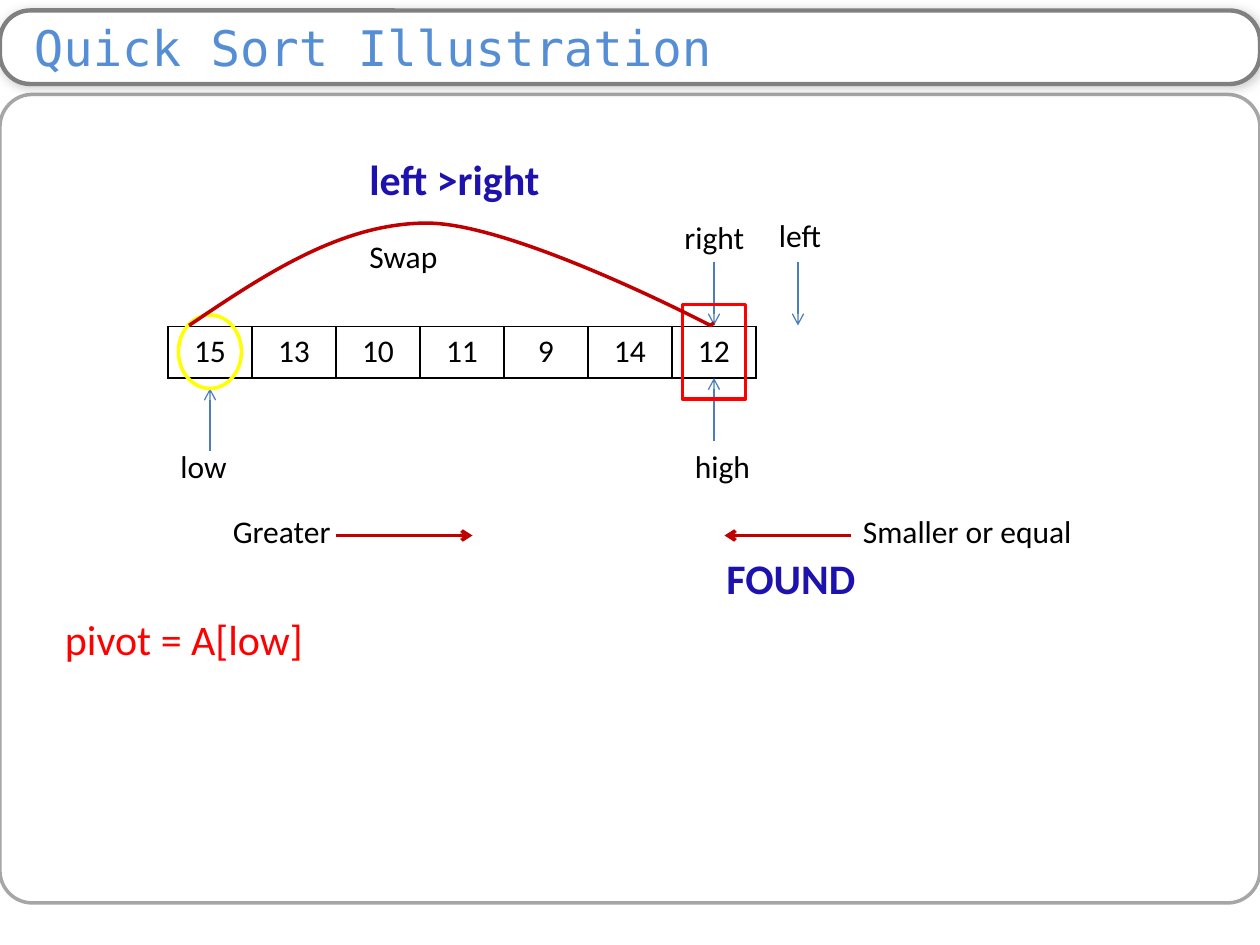
from pptx import Presentation
from pptx.dml.color import RGBColor
from pptx.enum.shapes import MSO_CONNECTOR, MSO_SHAPE
from pptx.enum.text import MSO_ANCHOR, MSO_AUTO_SIZE, PP_ALIGN
from pptx.oxml import parse_xml
from pptx.oxml.ns import nsdecls, qn
from pptx.util import Pt

ROUNDED, RECTANGLE, OVAL = MSO_SHAPE.ROUNDED_RECTANGLE, MSO_SHAPE.RECTANGLE, MSO_SHAPE.OVAL
STRAIGHT = MSO_CONNECTOR.STRAIGHT
MIDDLE, LEFT, CENTER = MSO_ANCHOR.MIDDLE, PP_ALIGN.LEFT, PP_ALIGN.CENTER
FIT_TEXT = MSO_AUTO_SIZE.SHAPE_TO_FIT_TEXT

BLACK = RGBColor(0x00, 0x00, 0x00)
WHITE = RGBColor(0xFF, 0xFF, 0xFF)
GRAY = RGBColor(0x80, 0x80, 0x80)
LIGHT_GRAY = RGBColor(0xA6, 0xA6, 0xA6)
TITLE_BLUE = RGBColor(0x55, 0x8E, 0xD5)
POINTER_BLUE = RGBColor(0x4B, 0x7E, 0xBC)
NAVY = RGBColor(0x1D, 0x12, 0xAE)
RED = RGBColor(0xFF, 0x00, 0x00)
DARK_RED = RGBColor(0xC0, 0x00, 0x00)
YELLOW = RGBColor(0xFF, 0xFF, 0x00)

LABEL = {"name": "Calibri", "size": Pt(18)}
NOTE = {"name": "Calibri", "size": Pt(24)}
CALLOUT = {**NOTE, "bold": True}
TITLE = {"name": "DejaVu Sans Mono", "size": Pt(28)}


class SlideBuilder:
    def __init__(self, slide, cell_width, cell_height):
        self.shapes = slide.shapes
        self.cell_width = cell_width
        self.cell_height = cell_height

    def add_words(self, frame, words, style, color=BLACK, align=LEFT):
        paragraph = frame.paragraphs[0]
        paragraph.alignment = align
        run = paragraph.add_run()
        run.text = words
        for attribute, value in style.items():
            setattr(run.font, attribute, value)
        run.font.color.rgb = color

    def outline(self, shape, color, width):
        shape.line.color.rgb = color
        shape.line.width = Pt(width)

    def frame(self, kind, box, color, width, corner=None):
        """Add an unfilled preset shape with a coloured outline."""
        shape = self.shapes.add_shape(kind, *map(Pt, box))
        shape.shadow.inherit = False
        shape.fill.background()
        self.outline(shape, color, width)
        if corner is not None:
            shape.adjustments[0] = corner
        return shape

    def title(self, words, box):
        bar = self.frame(ROUNDED, box, GRAY, 2.5, corner=0.41)
        bar.fill.solid()
        bar.fill.fore_color.rgb = WHITE
        effects = bar._element.spPr.find(qn("a:effectLst"))
        effects.append(parse_xml(
            f'<a:outerShdw {nsdecls("a")} blurRad="{Pt(6)}" dist="{Pt(1)}" dir="2700000">'
            '<a:srgbClr val="000000"><a:alpha val="20000"/></a:srgbClr></a:outerShdw>'))
        text = bar.text_frame
        text.vertical_anchor = MIDDLE
        text.margin_left, text.margin_right = Pt(14.4), Pt(7.2)
        text.margin_top = text.margin_bottom = 0
        self.add_words(text, words, TITLE, TITLE_BLUE)

    def text(self, words, box, style=LABEL, color=BLACK):
        text = self.shapes.add_textbox(*map(Pt, box)).text_frame
        text.word_wrap = True
        text.auto_size = FIT_TEXT
        self.add_words(text, words, style, color)

    def array(self, values, left, top):
        """Add a one-row table, one cell per array element."""
        table = self.shapes.add_table(
            1, len(values), Pt(left), Pt(top),
            Pt(self.cell_width * len(values)), Pt(self.cell_height)).table
        table.first_row = table.horz_banding = False
        for column, value in enumerate(values):
            table.columns[column].width = Pt(self.cell_width)
            cell = table.cell(0, column)
            self.add_words(cell.text_frame, str(value), LABEL, align=CENTER)
            cell.fill.background()
            for position, side in enumerate("LRTB"):
                cell._tc.get_or_add_tcPr().insert(position, parse_xml(
                    f'<a:ln{side} {nsdecls("a")} w="{Pt(1)}"><a:solidFill>'
                    f'<a:srgbClr val="{BLACK}"/></a:solidFill></a:ln{side}>'))

    def arrow(self, start, end, color=POINTER_BLUE, width=0.75):
        line = self.shapes.add_connector(STRAIGHT, *map(Pt, start + end))
        self.outline(line, color, width)
        properties = line._element.spPr
        properties.find(qn("a:ln")).append(
            parse_xml(f'<a:tailEnd {nsdecls("a")} type="arrow"/>'))
        properties.append(parse_xml(f'<a:effectLst {nsdecls("a")}/>'))

    def curve(self, start, beziers, end, color, width):
        """Draw cubic segments (two controls and a point each), then a line to end."""
        controls = [point for bezier in beziers for point in bezier]
        builder = self.shapes.build_freeform(*map(Pt, start))
        builder.add_line_segments(
            [(Pt(x), Pt(y)) for x, y in controls + [end]], close=False)
        shape = builder.convert_to_shape()
        shape.shadow.inherit = False
        shape.fill.background()
        self.outline(shape, color, width)
        steps = list(shape._element.iter(qn("a:lnTo")))
        for first in range(0, len(controls), 3):
            cubic = parse_xml(f'<a:cubicBezTo {nsdecls("a")}/>')
            steps[first].addprevious(cubic)
            for step in steps[first:first + 3]:
                cubic.append(step[0])
                step.getparent().remove(step)


def main():
    deck = Presentation()
    deck.slide_width, deck.slide_height = Pt(720), Pt(540)
    page = SlideBuilder(deck.slides.add_slide(deck.slide_layouts[6]), 48, 29.5)

    page.frame(ROUNDED, (0, 54, 720, 462), LIGHT_GRAY, 2, corner=0.04)
    page.title("Quick Sort Illustration", (0, 6, 720, 42))

    values = [15, 13, 10, 11, 9, 14, 12]
    array_left, array_top = 96, 186.5
    page.array(values, array_left, array_top)

    low_x, high_x, left_x = [
        array_left + page.cell_width * (index + 0.5)
        for index in (0, len(values) - 1, len(values))]
    page.arrow((low_x, 258), (low_x, 222))
    page.arrow((high_x, 252), (high_x, 216))
    for pointer_x in (high_x, left_x):
        page.arrow((pointer_x, 150), (pointer_x, 186))

    for words, left, top, width in [
            ("low", 96, 252, 54), ("high", 390, 252, 54),
            ("right", 384, 121, 54), ("left", 438, 120, 54),
            ("Greater", 126, 289, 72), ("Smaller or equal", 486, 289, 150),
            ("Swap", 204, 132, 72)]:
        page.text(words, (left, top, width, 29))
    page.text("pivot = A[low]", (30, 347, 192, 36), NOTE, RED)
    page.text("FOUND", (408, 312, 90, 36), CALLOUT, NAVY)
    page.text("left >right", (204, 84, 156, 36), CALLOUT, NAVY)

    page.arrow((192, 306), (270, 306), DARK_RED, 2)
    page.arrow((486, 306), (414, 306), DARK_RED, 2)

    page.frame(RECTANGLE, (high_x - 18, 174, 36, 54), RED, 2)
    page.frame(OVAL, (low_x - 18, 180, 36, 42), YELLOW, 2)
    page.curve(
        (108, 186),
        [[(151, 157), (195, 127.5), (244, 127.5)],
         [(294, 127.5), (406, 186), (406, 186)]],
        (high_x, 184.5), DARK_RED, 2)

    deck.save("out.pptx")


if __name__ == "__main__":
    main()
